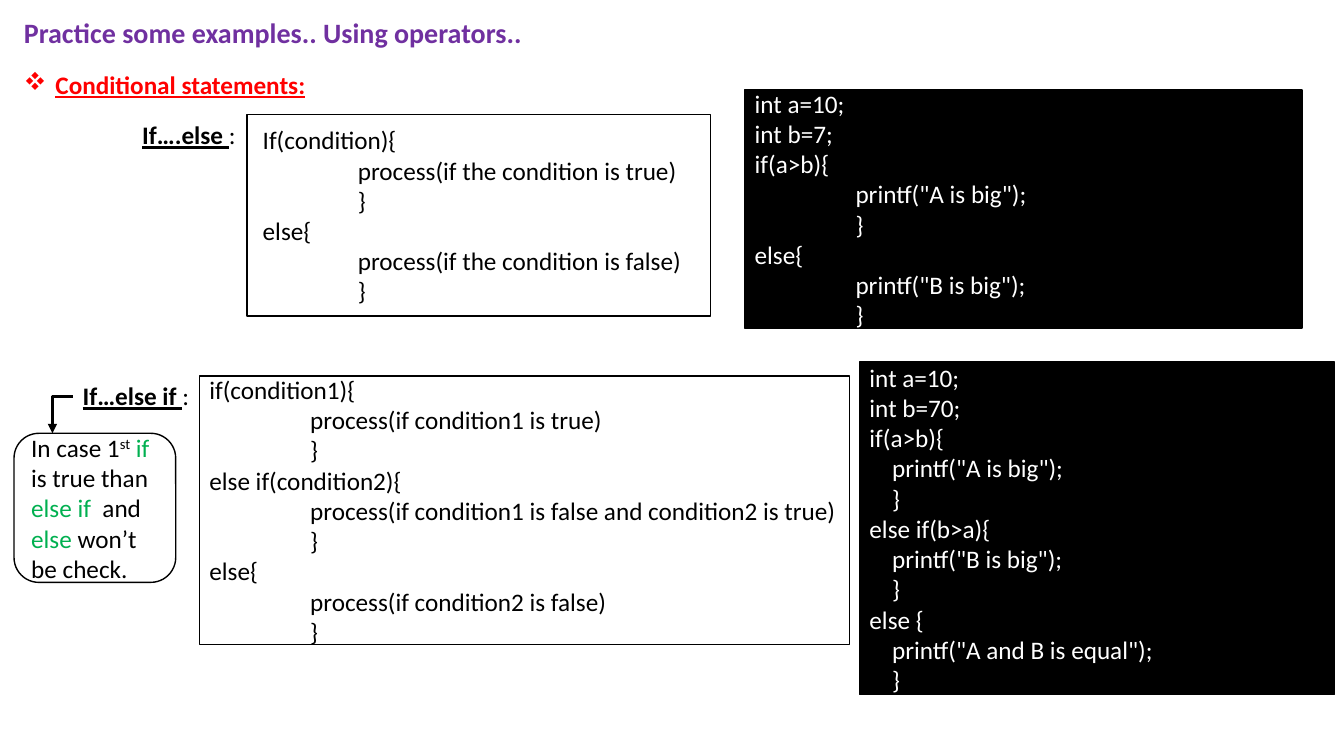
import pptx
import pptx.dml.color
import pptx.enum.shapes
import pptx.enum.text
import pptx.oxml.ns
import pptx.util
from lxml import etree

Pt = pptx.util.Pt
SHAPE = pptx.enum.shapes.MSO_SHAPE
BLACK, WHITE, PURPLE, RED, GREEN = "000000", "FFFFFF", "7030A0", "FF0000", "00B050"

IF_ELSE_SYNTAX = """ If(condition){
\tprocess(if the condition is true)
\t}
 else{
\tprocess(if the condition is false)
\t}"""

IF_ELSE_CODE = """int a=10;
int b=7;
if(a>b){
\tprintf("A is big");
\t}
else{
\tprintf("B is big");
\t}"""

ELSE_IF_SYNTAX = """if(condition1){
\tprocess(if condition1 is true)
\t}
else if(condition2){
\tprocess(if condition1 is false and condition2 is true)
\t}
else{
\tprocess(if condition2 is false)
\t}"""

ELSE_IF_CODE = """int a=10;
int b=70;
if(a>b){
    printf("A is big");
    }
else if(b>a){
    printf("B is big");
    }
else {
    printf("A and B is equal");
    }"""


def rgb(color):
    return pptx.dml.color.RGBColor.from_string(color)


def add_xml(parent, tag, **attrs):
    return etree.SubElement(parent, pptx.oxml.ns.qn(tag), attrs)


class Deck:
    font, size, tab = "Calibri", 18, 72

    def __init__(self):
        self.prs = pptx.Presentation()
        self.prs.slide_width, self.prs.slide_height = Pt(960), Pt(540)
        self.s = self.prs.slides.add_slide(self.prs.slide_layouts[6])

    def style(self, r, color=BLACK, size=None, bold=False, underline=False):
        r.font.name = self.font
        r.font.size = Pt(size or self.size)
        r.font.color.rgb = rgb(color)
        r.font.bold = bold
        r.font.underline = underline

    def add_run(self, p, text, **look):
        r = p.add_run()
        r.text = text
        self.style(r, **look)
        return r

    def label(self, x, y, w, h, text, bullet=None, **look):
        tf = self.s.shapes.add_textbox(Pt(x), Pt(y), Pt(w), Pt(h)).text_frame
        tf.word_wrap = False
        tf.auto_size = pptx.enum.text.MSO_AUTO_SIZE.SHAPE_TO_FIT_TEXT
        tf.text = text
        p = tf.paragraphs[0]
        if bullet:
            pPr = p._p.get_or_add_pPr()
            pPr.set("marL", str(Pt(22.5)))
            pPr.set("indent", str(-Pt(22.5)))
            add_xml(pPr, "a:buFont", typeface="Wingdings", charset="2")
            add_xml(pPr, "a:buChar", char=bullet)
        self.style(p.runs[0], **look)
        return p

    def heading(self, x, y, w, text):
        p = self.label(x, y, w, 29, text, bold=True, underline=True)
        self.add_run(p, ":")

    def box(self, x, y, w, h, text="", fill=WHITE, color=BLACK, kind=SHAPE.RECTANGLE):
        sp = self.s.shapes.add_shape(kind, Pt(x), Pt(y), Pt(w), Pt(h))
        sp.shadow.inherit = False
        sp.fill.solid()
        sp.fill.fore_color.rgb = rgb(fill)
        sp.line.color.rgb = rgb(BLACK)
        sp.line.width = Pt(1)
        tf = sp.text_frame
        tf.word_wrap = True
        tf.vertical_anchor = pptx.enum.text.MSO_ANCHOR.MIDDLE
        tf.text = text
        for p in tf.paragraphs:
            p.alignment = pptx.enum.text.PP_ALIGN.LEFT
            if "\t" in p.text:
                tabs = add_xml(p._p.get_or_add_pPr(), "a:tabLst")
                add_xml(tabs, "a:tab", pos=str(Pt(self.tab)), algn="l")
            for r in p.runs:
                self.style(r, color)
        return sp

    def code(self, x, y, w, h, text):
        self.box(x, y, w, h, text, BLACK, WHITE)

    def note(self, x, y, w, h, parts):
        sp = self.box(x, y, w, h, kind=SHAPE.ROUNDED_RECTANGLE)
        for text, color, baseline in parts:
            r = self.add_run(sp.text_frame.paragraphs[0], text, color=color)
            if baseline:
                r._r.get_or_add_rPr().set("baseline", str(baseline * 1000))

    def elbow_arrow(self, x1, y1, x2, y2):
        kind = pptx.enum.shapes.MSO_CONNECTOR.ELBOW
        c = self.s.shapes.add_connector(kind, Pt(x1), Pt(y1), Pt(x2), Pt(y2))
        c.line.color.rgb = rgb(BLACK)
        c.line.width = Pt(2.25)
        spPr = c._element.spPr
        spPr.find(pptx.oxml.ns.qn("a:prstGeom")).set("prst", "bentConnector2")
        add_xml(spPr.find(pptx.oxml.ns.qn("a:ln")), "a:tailEnd", type="triangle")
        add_xml(spPr, "a:effectLst")


def main():
    d = Deck()
    d.label(10, 7.5, 374, 31.5, "Practice some examples.. Using operators..",
            color=PURPLE, size=20, bold=True)
    d.label(10, 46, 217.5, 29, "Conditional statements:", bullet="v",
            color=RED, bold=True, underline=True)

    d.heading(94.5, 82, 81.5, "If….else ")
    d.box(176.5, 81.8, 331, 144, IF_ELSE_SYNTAX)
    d.code(532, 64.2, 398, 170, IF_ELSE_CODE)

    d.heading(52, 268.2, 91.5, "If…else if ")
    d.box(142.5, 268.5, 464.5, 192, ELSE_IF_SYNTAX)
    d.code(614, 258.6, 339.2, 237.6, ELSE_IF_CODE)

    d.elbow_arrow(52, 283, 37.5, 309.5)
    d.note(10, 309.5, 115.5, 106.5, [
        ("In case 1", BLACK, 0), ("st", BLACK, 30), (" if ", GREEN, 0),
        ("is true than ", BLACK, 0), ("else if  ", GREEN, 0), ("and ", BLACK, 0),
        ("else", GREEN, 0), (" won’t be check.", BLACK, 0)])
    d.prs.save("out.pptx")


if __name__ == "__main__":
    main()
